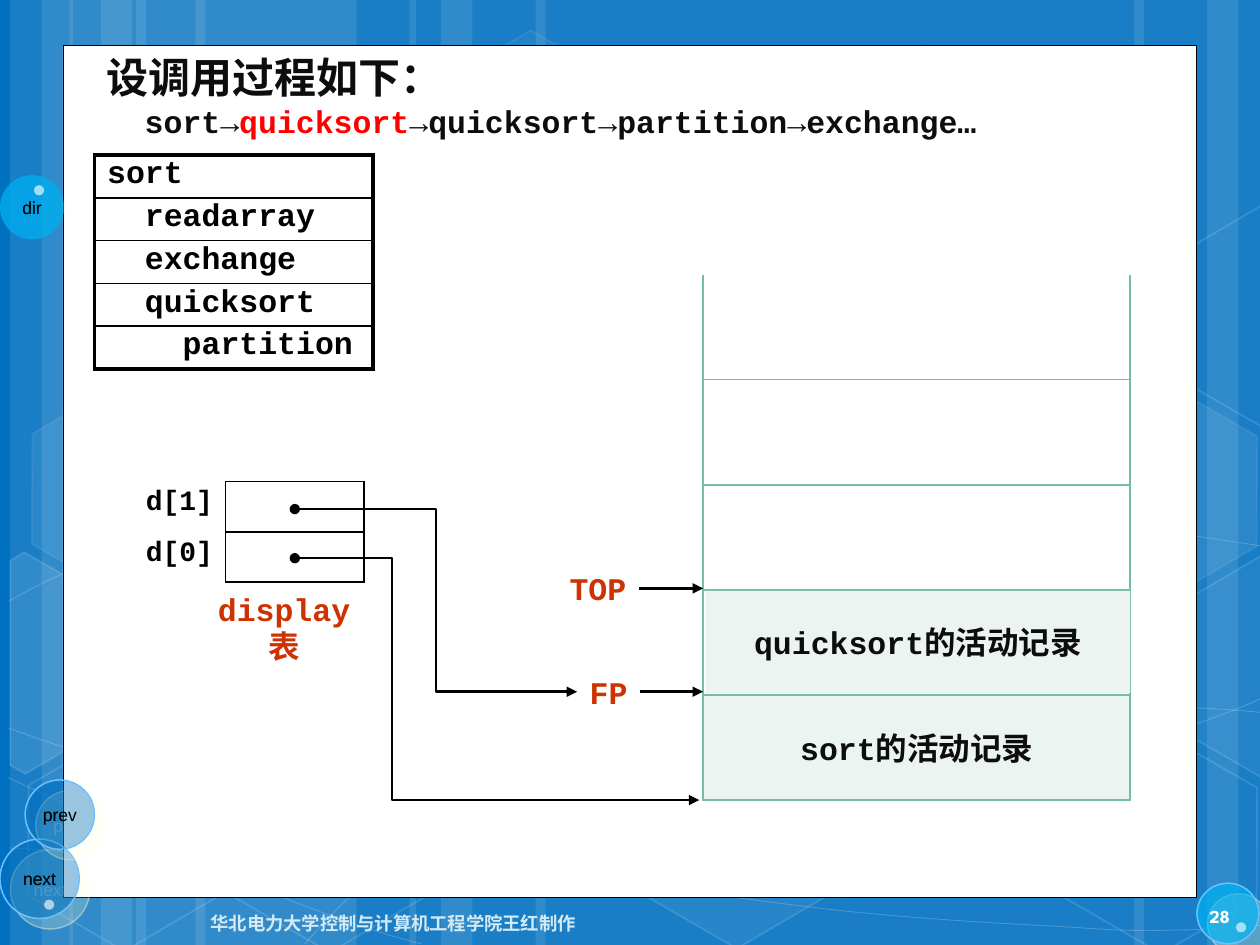
from math import cos, radians, sin
from typing import NamedTuple, Optional

from lxml import etree
from pptx import Presentation
from pptx.dml.color import RGBColor
from pptx.enum.shapes import MSO_CONNECTOR, MSO_SHAPE
from pptx.enum.text import MSO_ANCHOR, PP_ALIGN
from pptx.oxml.ns import qn
from pptx.util import Emu, Pt

RECT, OVAL, HEXAGON = MSO_SHAPE.RECTANGLE, MSO_SHAPE.OVAL, MSO_SHAPE.HEXAGON
STRAIGHT, ELBOW = MSO_CONNECTOR.STRAIGHT, MSO_CONNECTOR.ELBOW
LEFT, CENTER, RIGHT = PP_ALIGN.LEFT, PP_ALIGN.CENTER, PP_ALIGN.RIGHT
TOP, MIDDLE = MSO_ANCHOR.TOP, MSO_ANCHOR.MIDDLE
RIGHT_SIDE = 3

COLORS = {"blue": "0070C0", "sky": "00B0F0", "rim": "6DC0FF", "glow": "FFFFCC", "white": "FFFFFF",
          "black": "000000", "ink": "0D0D0D", "red": "FF0000", "rust": "CC3300",
          "green": "75BDA7", "mint": "ECF4F1", "footer": "D4EAF3", "number": "FEFEFE"}
FORMATS = {"title": {"name": "Courier New", "size": Pt(24), "bold": True},
           "code": {"name": "Courier New", "size": Pt(18), "bold": True},
           "label": {"name": "Courier New", "size": Pt(16), "bold": True},
           "button": {"name": "Arial", "size": Pt(10)},
           "footer": {"name": "League Spartan", "size": Pt(10.5), "bold": True}}

# The slide is a grid of 10 columns by 7.5 rows of square units.
COLUMNS, ROWS = 10, 7.5
UNIT = 914400
INDENT = 0.3
TILT = 30

deck = Presentation()
deck.slide_width, deck.slide_height = Emu(UNIT * COLUMNS), Emu(int(UNIT * ROWS))
page = deck.slides.add_slide(deck.slide_layouts[6])


class Area(NamedTuple):
    left: float
    top: float
    width: float
    height: float


class Paint(NamedTuple):
    color: str
    alpha: int = 100
    width: float = 1


class Span(NamedTuple):
    text: str
    style: str = "code"
    color: str = "ink"


class Button(NamedTuple):
    area: Area
    fill: Paint
    text: str = ""
    rim: bool = True


def grid(*values: float) -> list[Emu]:
    return [Emu(round(value * UNIT)) for value in values]


def rgb(color: str) -> RGBColor:
    return RGBColor.from_string(COLORS[color])


def add(parent, tag: str, **attributes):
    return etree.SubElement(parent, qn(tag), attributes)


def apply_paint(shape, fill: Optional[Paint] = None, line: Optional[Paint] = None) -> None:
    shape.shadow.inherit = False
    for target, paint in ((shape.fill, fill), (shape.line.fill, line)):
        if paint is None:
            target.background()
            continue
        target.solid()
        target.fore_color.rgb = rgb(paint.color)
    if line:
        shape.line.width = Pt(line.width)
    properties = shape._element.spPr
    for route, paint in (("a:solidFill", fill), ("a:ln/a:solidFill", line)):
        if paint and paint.alpha < 100:
            color = properties.find("/".join(qn(tag) for tag in route.split("/")))[0]
            add(color, "a:alpha", val=str(paint.alpha * 1000))


def draw_shape(kind, area: Area, fill: Optional[Paint] = None, line: Optional[Paint] = None):
    shape = page.shapes.add_shape(kind, *grid(*area))
    apply_paint(shape, fill, line)
    return shape


def draw_outline(points, closed: bool, fill: Optional[Paint], line: Paint):
    corners = [tuple(grid(*point)) for point in points]
    builder = page.shapes.build_freeform(*corners[0], scale=1.0)
    builder.add_line_segments(corners[1:], close=closed)
    shape = builder.convert_to_shape()
    apply_paint(shape, fill, line)
    return shape


def draw_curve(knots, line: Paint) -> None:
    """Draw the knots as an outline, then join each three segments into one cubic curve."""
    shape = draw_outline(knots, False, None, line)
    segments = list(shape._element.spPr.iter(qn("a:lnTo")))
    for start in range(0, len(segments), 3):
        cubic = etree.Element(qn("a:cubicBezTo"))
        segments[start].addprevious(cubic)
        for segment in segments[start:start + 3]:
            cubic.append(segment[0])
            segment.getparent().remove(segment)


def draw_tilted(points, center, fill: Optional[Paint], line: Paint) -> None:
    """Turn the points upright about the center, and let the shape's rotation tilt them back."""
    turn_cos, turn_sin = cos(radians(TILT)), sin(radians(TILT))
    offsets = [(x - center[0], y - center[1]) for x, y in points]
    upright = [(center[0] + x * turn_cos + y * turn_sin, center[1] - x * turn_sin + y * turn_cos)
               for x, y in offsets]
    draw_outline(upright, True, fill, line).rotation = TILT


def write_para(para, spans, align=LEFT) -> None:
    para.alignment = align
    for span in spans:
        run = para.add_run()
        run.text = span.text
        for name, value in FORMATS[span.style].items():
            setattr(run.font, name, value)
        run.font.color.rgb = rgb(span.color)


def write_frame(frame, spans, align=CENTER, anchor=MIDDLE, wrap=True) -> None:
    frame.word_wrap, frame.vertical_anchor = wrap, anchor
    write_para(frame.paragraphs[0], spans, align)


def draw_text(area: Area, span: Span, align=CENTER, anchor=TOP, wrap=False):
    box = page.shapes.add_textbox(*grid(*area))
    write_frame(box.text_frame, [span], align, anchor, wrap)
    return box


def draw_arrow(kind, start, end, bend: float = 0.5, dot: bool = False):
    arrow = page.shapes.add_connector(kind, *grid(*start, *end))
    arrow.line.color.rgb, arrow.line.width = rgb("black"), Pt(1.5)
    properties = arrow._element.spPr
    line = properties.find(qn("a:ln"))
    if dot:
        add(line, "a:headEnd", type="oval")
    add(line, "a:tailEnd", type="triangle")
    add(properties, "a:effectLst")
    if kind == ELBOW:
        guides = properties.find(qn("a:prstGeom")).get_or_add_avLst()
        add(guides, "a:gd", name="adj1", fmla=f"val {round(bend * 100000)}")
    return arrow


def draw_table(area: Area, widths, count: int):
    table = page.shapes.add_table(count, len(widths), *grid(*area)).table
    table.first_row = table.horz_banding = False
    for column, width in zip(table.columns, grid(*widths)):
        column.width = width
    return table


def style_cell(cell, borders: dict, color: str = "black", fill: str = "") -> None:
    """Borders maps a side letter (L, R, T, B) to its width in points."""
    properties = cell._tc.get_or_add_tcPr()
    for side in "LRTB":
        line = add(properties, f"a:ln{side}", w=str(Pt(borders.get(side, 0))))
        if side in borders:
            add(add(line, "a:solidFill"), "a:srgbClr", val=COLORS[color])
        else:
            add(line, "a:noFill")
    if fill:
        cell.fill.solid()
        cell.fill.fore_color.rgb = rgb(fill)
    else:
        cell.fill.background()


def draw_buttons() -> None:
    glass, sky, dot = Paint("blue", 40), Paint("sky", 50), Paint("white", 50)
    buttons = [Button(Area(9.5, 7.01, 0.49, 0.48), sky), Button(Area(0, 1.39, 0.51, 0.51), sky, "dir", False),
               Button(Area(0, 6.66, 0.63, 0.63), glass, "next"), Button(Area(0.2, 6.19, 0.55, 0.55), glass, "prev")]
    buttons += [Button(Area(x, y, 0.08, 0.08), dot, rim=False) for x, y in ((0.35, 7.14), (0.27, 1.47), (9.81, 7.32))]
    for button in buttons:
        shape = draw_shape(OVAL, button.area, button.fill, Paint("rim", 100, 0.75) if button.rim else None)
        if button.rim:
            effects = shape._element.spPr.find(qn("a:effectLst"))
            glow = add(effects, "a:outerShdw", dist=str(Pt(8.5)), dir="2700000", algn="ctr", rotWithShape="0")
            add(add(glow, "a:srgbClr", val=COLORS["glow"]), "a:alpha", val="30000")
        if button.text:
            write_frame(shape.text_frame, [Span(button.text, "button", "black")], wrap=False)


def draw_backdrop() -> None:
    page.background.fill.solid()
    page.background.fill.fore_color.rgb = rgb("blue")
    for left, width in ((1.08, 1.75), (0.08, 0.5), (0.33, 0.83), (1.55, 1.75), (0.55, 0.5), (0.8, 0.83), (7.33, 1.75),
                        (9.58, 0.5), (9, 0.83), (4.25, 3.08), (3.25, 0.5), (3.5, 0.83)):
        draw_shape(RECT, Area(left, 0, width, ROWS), Paint("white", 10))
    curves = [
        [(0.07, 6.73), (0.61, 6.76), (1.15, 6.79), (1.9, 6.78), (2.65, 6.77), (3.58, 6.75), (4.58, 6.65),
         (5.58, 6.55), (7, 6.36), (7.92, 6.17), (8.83, 5.98), (9.77, 5.68), (10.07, 5.51)],
        [(0.07, 4.77), (0.36, 4.61), (0.65, 4.46), (1.21, 4.31), (1.78, 4.16), (2.59, 3.94), (3.47, 3.87),
         (4.36, 3.8), (5.44, 3.79), (6.54, 3.87), (7.64, 3.95), (9.47, 4.26), (10.07, 4.34)],
        [(0.06, 6.17), (1.27, 6.72), (2.47, 7.27), (3.34, 7.49)],
        [(0.07, 5.78), (0.38, 5.89), (0.7, 6), (1.28, 6.16), (1.86, 6.31), (2.73, 6.56), (3.57, 6.73),
         (4.4, 6.9), (5.45, 7.08), (6.28, 7.18), (7.11, 7.29), (8, 7.33), (8.53, 7.36),
         (9.05, 7.4), (9.19, 7.38), (9.45, 7.38), (9.71, 7.37), (9.89, 7.35), (10.07, 7.34)],
        [(2.42, 7.49), (2.6, 7.29), (2.78, 7.09), (3.02, 6.91), (3.26, 6.73), (3.6, 6.53), (3.88, 6.39),
         (4.16, 6.25), (4.33, 6.19), (4.7, 6.09), (5.06, 5.99), (5.73, 5.85), (6.08, 5.78),
         (6.44, 5.71), (6.49, 5.71), (6.8, 5.69), (7.11, 5.66), (7.6, 5.63), (7.94, 5.62),
         (8.29, 5.61), (9.2, 5.62), (9.53, 5.62), (9.71, 5.63), (9.88, 5.64), (10.06, 5.66)]]
    for knots in curves:
        draw_curve(knots, Paint("white", 20, 0.5))
    for left, top, fill, line in ((3.34, 0.36, 4, 8), (4.97, 5.89, 6, 12), (0.11, 5.91, 0, 12), (0.14, 3.12, 7, 8),
                                  (1.74, 5.92, 0, 12), (7.53, 4.53, 10, 12), (8.34, 5.93, 0, 12), (8.34, 3.14, 7, 8)):
        cell = draw_shape(HEXAGON, Area(left, top, 1.75, 1.52), Paint("white", fill) if fill else None,
                          Paint("white", line))
        cell.adjustments[0], cell.rotation = 0.285, TILT
    right_edge = [(9.26, 4.85), (10.01, 4.41), (10.09, 4.46), (10.09, 6.13), (10.02, 6.17), (9.26, 5.73)]
    left_edge = [(0.08, 4.45), (0.19, 4.38), (0.96, 4.82), (0.95, 5.7), (0.2, 6.14), (0.08, 6.07)]
    upper_edge = [(x, y - 2.78) for x, y in right_edge]
    for points, center, fill in ((left_edge, (0.36, 5.35), Paint("white", 10)),
                                 (right_edge, (9.85, 5.2), Paint("white", 4)), (upper_edge, (9.85, 2.41), None)):
        draw_tilted(points, center, fill, Paint("white", 12))


def draw_stack() -> None:
    table = draw_table(Area(5.58, 2.18, 3.39, 4.17), [3.39], 5)
    for row in range(5):
        sides = "LRB" if row == 0 else "LRTB"
        style_cell(table.cell(row, 0), dict.fromkeys(sides, 1), "green", "mint" if row == 4 else "")
    for left, top, owner in ((5.6, 4.69, "quicksort"), (5.59, 5.53, "sort")):
        record = draw_shape(RECT, Area(left, top, 3.37, 0.81), Paint("mint"))
        write_frame(record.text_frame, [Span(f"{owner}的活动记录")])


def draw_procedures() -> None:
    names = [("sort", 0), ("readarray", 1), ("exchange", 1), ("quicksort", 1), ("partition", 2)]
    table = draw_table(Area(0.75, 1.23, 2.21, 1.7), [2.21], len(names))
    for row, (name, level) in enumerate(names):
        cell = table.cell(row, 0)
        cell.margin_left, cell.margin_top, cell.margin_bottom = grid(0.1 + level * INDENT, 0.02, 0.02)
        write_para(cell.text_frame.paragraphs[0], [Span(name, color="black")])
        style_cell(cell, {"L": 2.25, "R": 2.25, "T": 2.25 if row == 0 else 1,
                          "B": 2.25 if row == len(names) - 1 else 1})


def draw_display() -> None:
    for top, name in ((3.82, "d[1]"), (4.22, "d[0]")):
        table = draw_table(Area(0.92, top, 1.97, 0.4), [0.87, 1.1], 1)
        write_para(table.cell(0, 0).text_frame.paragraphs[0], [Span(name, "label", "black")], RIGHT)
        style_cell(table.cell(0, 0), {"R": 1})
        style_cell(table.cell(0, 1), dict.fromkeys("LRTB", 1))
    caption = draw_text(Area(1.63, 4.63, 1.51, 0.4), Span("display表", color="rust"), wrap=True)
    caption.text_frame.margin_right = grid(0.36)[0]
    draw_arrow(ELBOW, (2.34, 4.43), (5.55, 6.35), 0.24, dot=True)
    draw_arrow(ELBOW, (2.34, 4.04), (4.58, 5.49), dot=True)
    for name, area in (("FP", Area(4.58, 5.29, 0.5, 0.4)), ("TOP", Area(4.42, 4.47, 0.65, 0.4))):
        box = draw_text(area, Span(name, color="rust"))
        middle = area.top + area.height / 2
        arrow = draw_arrow(STRAIGHT, (area.left + area.width, middle), (5.58, middle))
        arrow.begin_connect(box, RIGHT_SIDE)


def draw_heading() -> None:
    frame = draw_text(Area(0.75, 0.36, 7.29, 0.81), Span("设调用过程如下：", "title"), LEFT).text_frame
    para = frame.add_paragraph()
    para._p.get_or_add_pPr().set("marL", str(grid(INDENT)[0]))
    write_para(para, [Span("sort→"), Span("quicksort", color="red"), Span("→quicksort→partition→exchange…")])


draw_backdrop()
draw_buttons()
draw_shape(RECT, Area(0.5, 0.36, 9, 6.76), Paint("white"), Paint("black", 100, 0.5))
draw_buttons()
draw_text(Area(0.95, 7.13, 3.72, 0.4), Span("华北电力大学控制与计算机工程学院王红制作", "footer", "footer"), RIGHT, MIDDLE, True)
draw_text(Area(9.5, 7.07, 0.47, 0.4), Span("28", "footer", "number"), LEFT, MIDDLE, True)
draw_heading()
draw_stack()
draw_procedures()
draw_display()
deck.save("out.pptx")
